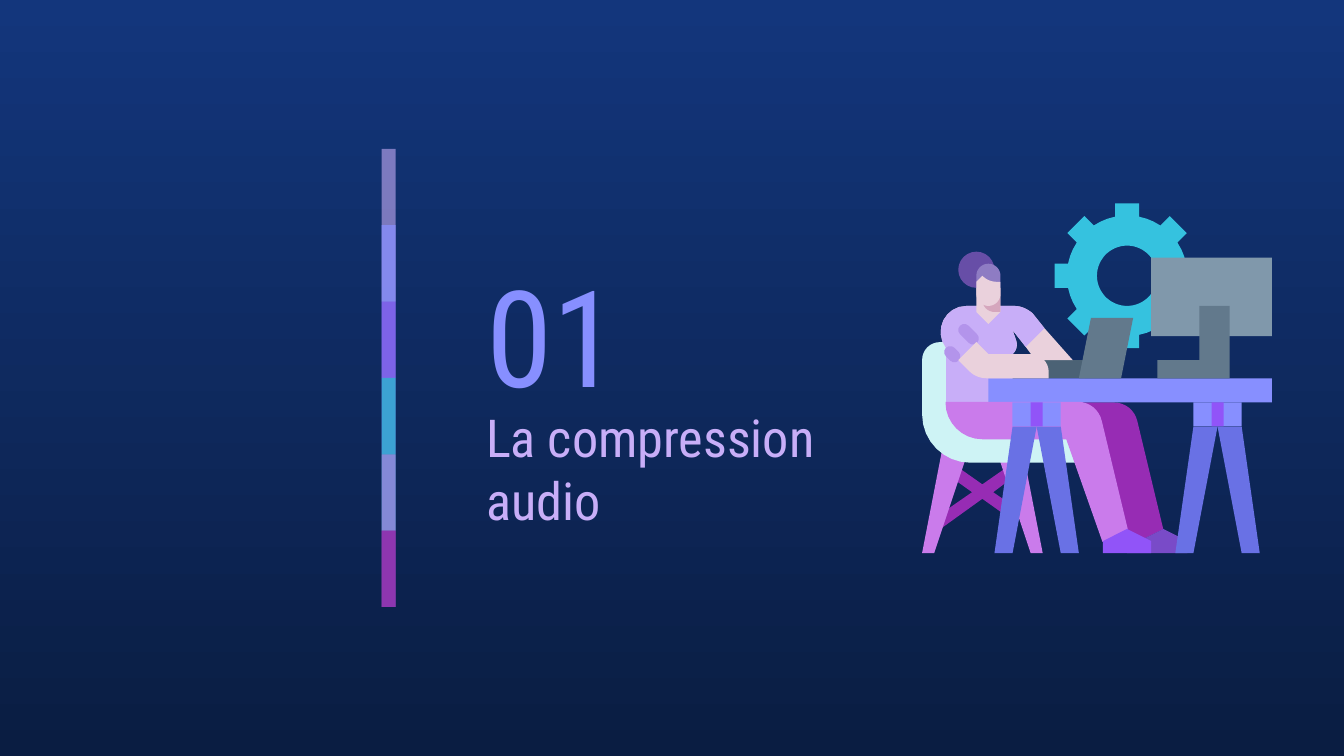
import math

from lxml import etree
from pptx import Presentation
from pptx import util as u
from pptx.dml.color import RGBColor
from pptx.enum import shapes, text
from pptx.oxml.ns import qn

NAVY, MIDNIGHT = RGBColor(0x13, 0x36, 0x7C), RGBColor(0x0A, 0x1D, 0x42)
PERIWINKLE, INDIGO = RGBColor(0x87, 0x8F, 0xFF), RGBColor(0x69, 0x71, 0xE5)
LAVENDER, LILAC = RGBColor(0xC8, 0xAE, 0xF8), RGBColor(0xB3, 0x94, 0xEB)
VIOLET, PLUM = RGBColor(0x91, 0x54, 0xF8), RGBColor(0x79, 0x4B, 0xC8)
ORCHID, PURPLE = RGBColor(0xCA, 0x7B, 0xEB), RGBColor(0x97, 0x2C, 0xB4)
CYAN, ICE = RGBColor(0x35, 0xC2, 0xDF), RGBColor(0xCE, 0xF3, 0xF5)
SKIN, BLUSH = RGBColor(0xEA, 0xD1, 0xDC), RGBColor(0xD5, 0xA6, 0xBD)
BUN, HAIR = RGBColor(0x67, 0x4E, 0xA7), RGBColor(0x8E, 0x7C, 0xC3)
SLATE, STEEL, SILVER = (RGBColor(0x4B, 0x62, 0x75), RGBColor(0x62, 0x79, 0x8C),
                        RGBColor(0x80, 0x98, 0xAB))

RECT = shapes.MSO_SHAPE.RECTANGLE
OVAL = shapes.MSO_SHAPE.OVAL
PILL = shapes.MSO_SHAPE.ROUNDED_RECTANGLE


def flatten(outline, steps=8):
    points = []
    for node in outline:
        if len(node) == 2:
            points.append(node)
            continue
        (ax, ay), (bx, by, cx, cy, dx, dy) = points[-1], node
        for i in range(1, steps + 1):
            t = i / steps
            w = ((1 - t) ** 3, 3 * t * (1 - t) ** 2, 3 * t * t * (1 - t), t ** 3)
            points.append((w[0] * ax + w[1] * bx + w[2] * cx + w[3] * dx,
                           w[0] * ay + w[1] * by + w[2] * cy + w[3] * dy))
    return points


def polar(cx, cy, radius, degrees):
    a = math.radians(degrees)
    return cx + radius * math.cos(a), cy + radius * math.sin(a)


class Deck:
    FONT = "Roboto Condensed"
    LEFT, TOP, UNIT = 494, 109, 3.23

    def __init__(self):
        self.prs = Presentation()
        self.prs.slide_width, self.prs.slide_height = u.Pt(720), u.Pt(405)
        self.s = self.prs.slides.add_slide(self.prs.slide_layouts[6])

    def background(self, top, bottom):
        fill = self.s.background.fill
        fill.gradient()
        fill.gradient_angle = 270
        for stop, color, position in zip(fill.gradient_stops, (top, bottom), (0, 1)):
            stop.color.rgb, stop.position = color, position

    def paint(self, sp, color, line=None):
        sp.shadow.inherit = False
        sp.fill.solid()
        sp.fill.fore_color.rgb = color
        if line:
            sp.line.color.rgb, sp.line.width = line, u.Pt(0.75)
        else:
            sp.line.fill.background()
        return sp

    def band(self, x, y, w, h, color, alpha):
        sp = self.paint(self.s.shapes.add_shape(RECT, u.Pt(x), u.Pt(y), u.Pt(w), u.Pt(h)), color)
        clr = sp.element.spPr.find(qn("a:solidFill"))[0]
        etree.SubElement(clr, qn("a:alpha"), val=str(alpha * 1000))

    def title(self, x, y, w, h, words, size, color):
        tf = self.s.shapes.add_textbox(u.Pt(x), u.Pt(y), u.Pt(w), u.Pt(h)).text_frame
        tf.word_wrap = True
        tf.vertical_anchor = text.MSO_ANCHOR.MIDDLE
        tf.margin_left = tf.margin_right = tf.margin_top = tf.margin_bottom = u.Pt(7.2)
        p = tf.paragraphs[0]
        p.text = words
        for r in p.runs:
            r.font.name, r.font.size, r.font.color.rgb = self.FONT, u.Pt(size), color

    def place(self, x, y):
        return u.Pt(self.LEFT + x * self.UNIT), u.Pt(self.TOP + y * self.UNIT)

    def preset(self, kind, x, y, w, h, color, turn=0):
        size = u.Pt(w * self.UNIT), u.Pt(h * self.UNIT)
        sp = self.paint(self.s.shapes.add_shape(kind, *self.place(x, y), *size), color)
        sp.rotation = turn
        if kind == PILL:
            sp.adjustments[0] = 0.5

    def outline(self, color, *contours, line=None):
        first, *holes = [[self.place(*pt) for pt in flatten(c)] for c in contours]
        fb = self.s.shapes.build_freeform(*first[0])
        fb.add_line_segments(first[1:])
        for hole in holes:
            fb.move_to(*hole[0])
            fb.add_line_segments(hole[1:])
        self.paint(fb.convert_to_shape(), color, line)

    def gear(self, cx, cy, color):
        tooth = ((10, -11.54), (12.17, -9.46), (12.17, 9.46), (10, 11.54), (10, 19), (10, 26))
        rim = [polar(cx, cy, r, turn + a) for turn in range(0, 360, 45) for r, a in tooth]
        hole = [polar(cx, cy, 5, a) for a in range(0, 360, 6)]
        self.outline(color, rim, hole)

    def leg(self, x, ankle, heel, color, shoe, line=None):
        self.outline(color, [
            (x, 33), (x, 36.3, x + 2.7, 39, x + 6, 39), (x + 20, 39), (heel, 56),
            (ankle - 4, 56), (ankle, 54), (x + 25.7, 36.1),
            (x + 25.3, 34.3, x + 23.7, 33, x + 21.8, 33)], line=line)
        self.outline(shoe, [(ankle, 54), (ankle - 4, 56), (heel, 56), (heel, 58),
                            (ankle + 4, 58), (ankle + 4, 56)])

    def torso(self, color, arm):
        self.outline(color, [
            (7.4, 17), (3.8, 17, 1.8, 21.1, 4, 24), (4, 33), (15, 33), (15, 25),
            (15.6, 24.5, 15.9, 23.6, 15.6, 22.7), (15, 21), (17.2, 23.8), *arm,
            (20.3, 20.7), (18.3, 18.2), (17.4, 17.5, 16.5, 17, 15.2, 17)])

    def mirrored(self, color, axis, points):
        self.outline(color, points)
        self.outline(color, [(2 * axis - x, y) for x, y in points])

    def trestle(self, x):
        self.preset(RECT, x, 33, 8, 4, PERIWINKLE)
        self.preset(RECT, x + 3, 33, 2, 4, VIOLET)
        self.mirrored(INDIGO, x + 4, [(x, 37), (x - 3, 58), (x + 0, 58), (x + 4, 37)])

    def chair(self):
        self.outline(PURPLE, [
            (5.6, 43.5), (4.5, 45.2), (8.3, 47.9), (1.8, 52.4), (2.9, 54.1), (10, 49),
            (13.8, 51.7), (15, 50.1), (11.8, 47.9), (15.4, 45.2), (14.3, 43.6), (10, 46.6)])
        self.mirrored(ORCHID, 10, [(12, 40), (18, 58), (20, 58), (16.5, 40)])
        self.outline(ICE, [
            (3, 23), (1.3, 23, 0, 24.3, 0, 26), (0, 35), (0, 39.4, 3.6, 43, 8, 43),
            (27, 43), (27, 38), (10, 38), (7.2, 38, 5, 35.8, 5, 33), (5, 23)])

    def head(self):
        self.outline(BLUSH, [(10, 14), (10, 16), (10, 17.1, 10.9, 18, 12, 18), (13, 18), (13, 14)])
        self.preset(OVAL, 6, 8, 6, 6, BUN)
        self.outline(HAIR, [(11, 10), (9.9, 10, 9, 10.9, 9, 12), (9, 14), (13, 14), (13, 12),
                            (13, 10.9, 12.1, 10, 11, 10)])
        self.outline(SKIN, [(10, 12), (9, 13), (9, 15), (9, 16.1, 9.9, 17, 11, 17),
                            (12.1, 17, 13, 16.1, 13, 15), (13, 13), (12.3, 13),
                            (11.4, 13, 10.6, 12.6, 10, 12)])


def main():
    d = Deck()
    d.background(NAVY, MIDNIGHT)

    bands = ((LAVENDER, 59), (PERIWINKLE, 74), (VIOLET, 53), (CYAN, 76), (ORCHID, 56), (PURPLE, 74))
    step = 40.9
    for i, (color, alpha) in enumerate(bands):
        height = step if i == len(bands) - 1 else 2 * step
        d.band(204.5, 79.8 + i * step, 7.5, height, color, alpha)

    d.title(253.4, 130.3, 126, 97.2, "01", 72, PERIWINKLE)
    d.title(253.4, 226.8, 206.6, 48.2, "La compression \vaudio", 28, LAVENDER)

    d.gear(34, 12, CYAN)
    d.preset(RECT, 20, 26, 7, 3, SLATE)
    d.chair()
    d.leg(10, 40, 34, PURPLE, PLUM)
    d.torso(SKIN, [(18.8, 26), (25, 26)])
    d.torso(LAVENDER, [])
    d.preset(RECT, 11, 29, 47, 4, PERIWINKLE)
    d.preset(PILL, 3.5, 24, 3, 2, LILAC, 45)
    d.preset(PILL, 5.7, 20.7, 4, 2, LILAC, 45)
    d.outline(SKIN, [(9, 14), (9, 18), (11, 20), (13, 18), (13, 14)])
    d.outline(SKIN, [(9, 23), (6, 26), (7.8, 27.8), (8.6, 28.6, 9.6, 29, 10.7, 29), (21, 29),
                     (21, 28), (21, 26.3, 19.7, 25, 18, 25), (11, 25)])
    d.outline(STEEL, [(28, 19), (26, 29), (33, 29), (35, 19)])
    d.leg(4, 34, 30, ORCHID, VIOLET, line=ORCHID)
    d.preset(RECT, 38, 9, 20, 13, SILVER)
    d.outline(STEEL, [(46, 17), (46, 26), (39, 26), (39, 29), (51, 29), (51, 17)])
    for x in (45, 15):
        d.trestle(x)
    d.head()

    d.prs.save("out.pptx")


if __name__ == "__main__":
    main()
